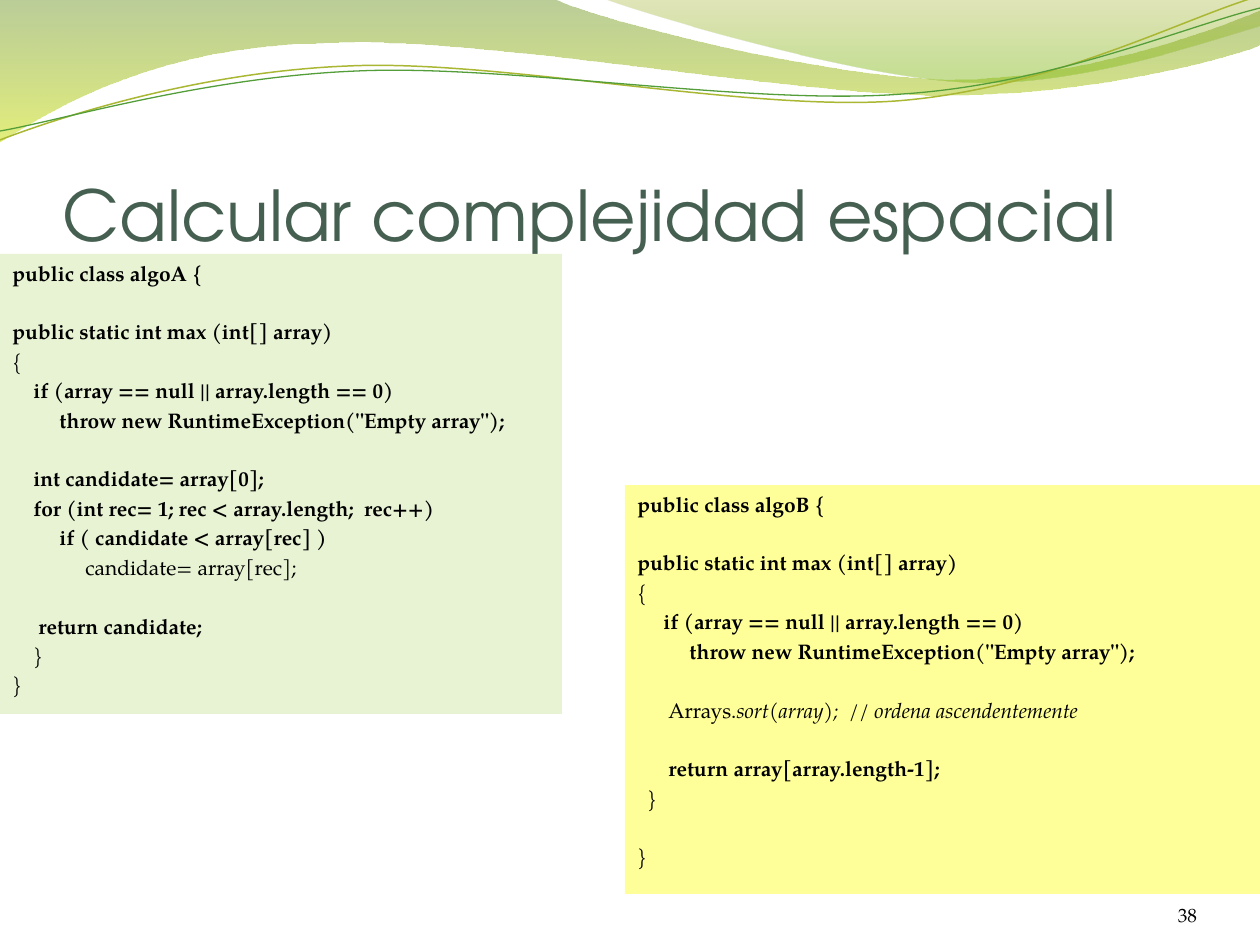
import math

from lxml import etree
from pptx import Presentation
from pptx import util as u
from pptx.dml.color import RGBColor
from pptx.enum import shapes, text
from pptx.oxml import ns

PX = 914400 / 126
BODY = "TeX Gyre Pagella"
HEAD = "TeX Gyre Adventor"
LINE_PT, BEFORE_PT = 14.4, 2.4
TILT = -2.7

# Each code line: (indent in px, blank lines above, [(words, bold, italic), ...])
CODE_A = [
    (0, 0, [("public class algoA {", True, False)]),
    (0, 1, [("public static int max (int[] array)", True, False)]),
    (0, 0, [("{", False, False)]),
    (21, 0, [("if (array == null || array.length == 0)", True, False)]),
    (47, 0, [('throw new RuntimeException("Empty array");', True, False)]),
    (21, 1, [("int candidate= array[0];", True, False)]),
    (21, 0, [("for (int rec= 1; rec < array.length;  rec++)", True, False)]),
    (47, 0, [("if ( candidate < array[rec] )", True, False)]),
    (73, 0, [("candidate= array[rec];", False, False)]),
    (26, 1, [("return candidate;", True, False)]),
    (21, 0, [("}", False, False)]),
    (0, 0, [("}", False, False)]),
]
CODE_B = [
    (0, 0, [("public class algoB {", True, False)]),
    (0, 1, [("public static int max (int[] array)", True, False)]),
    (0, 0, [("{", False, False)]),
    (26, 0, [("if (array == null || array.length == 0)", True, False)]),
    (52, 0, [('throw new RuntimeException("Empty array");', True, False)]),
    (31, 1, [("Arrays.", False, False),
             ("sort(array);  // ordena ascendentemente", False, True)]),
    (31, 1, [("return array[array.length-1];", True, False)]),
    (10, 0, [("}", False, False)]),
    (0, 1, [("}", False, False)]),
]

# Outlines: a start point, then lines (one point) and Bézier curves (three points)
LEFT_WAVE = [
    [(0, 0)], [(554, -1)],
    [(599, 21), (835, 79), (955, 79)], [(1075, 79), (1207, 33), (1260, 11)],
    [(1261, 45)],
    [(1239, 55), (1095, 96), (940, 95)], [(784, 95), (480, 35), (324, 43)],
    [(163, 45), (58, 105), (-1, 142)], [(0, 0)],
]
RIGHT_WAVE = [
    [(604, -1)],
    [(642, 14), (859, 78), (968, 82)], [(1077, 87), (1211, 40), (1260, 26)],
    [(1260, 0)],
]
OLIVE_LINE = [
    [(0, 140)],
    [(60, 117), (198, 72), (348, 66)], [(498, 59), (746, 112), (897, 101)],
    [(1050, 89), (1182, 19), (1256, -3)],
]
GREEN_LINE = [
    [(0, 131)],
    [(59, 121), (205, 77), (357, 71)], [(507, 64), (752, 106), (903, 94)],
    [(1053, 84), (1186, 26), (1260, 8)],
]


def emu(px):
    return u.Emu(round(px * PX))


def color(value):
    return RGBColor.from_string(value)


def add_span(para, words, font=BODY, size=12, fill="000000", bold=False, italic=False):
    span = para.add_run()
    span.text = words
    span.font.name = font
    span.font.size = u.Pt(size)
    span.font.color.rgb = color(fill)
    span.font.bold = bold
    span.font.italic = italic


def add_label(page, box, words, align=text.PP_ALIGN.LEFT, top_inset=0, **style):
    """Place one line of text on the bottom edge of the box."""
    frame = page.shapes.add_textbox(*map(emu, box)).text_frame
    frame.word_wrap = True
    frame.vertical_anchor = text.MSO_ANCHOR.BOTTOM
    frame.margin_left = frame.margin_right = frame.margin_bottom = 0
    frame.margin_top = emu(top_inset)
    para = frame.paragraphs[0]
    para.alignment = align
    add_span(para, words, **style)


def add_code_panel(page, box, fill, lines):
    panel = page.shapes.add_shape(shapes.MSO_SHAPE.RECTANGLE, *map(emu, box))
    panel.shadow.inherit = False
    panel.fill.solid()
    panel.fill.fore_color.rgb = color(fill)
    panel.line.fill.background()
    frame = panel.text_frame
    frame.word_wrap = True
    frame.vertical_anchor = text.MSO_ANCHOR.TOP
    for number, (indent, blanks, spans) in enumerate(lines):
        para = frame.add_paragraph() if number else frame.paragraphs[0]
        para.alignment = text.PP_ALIGN.LEFT
        para.line_spacing = u.Pt(LINE_PT)
        gap = BEFORE_PT + blanks * (LINE_PT + BEFORE_PT)
        para.space_before = u.Pt(gap if number else 0)
        para._p.get_or_add_pPr().set("marL", str(emu(indent)))
        for words, bold, italic in spans:
            add_span(para, words, bold=bold, italic=italic)


def turn(point, center, degrees):
    angle = math.radians(degrees)
    x, y = point[0] - center[0], point[1] - center[1]
    return (center[0] + x * math.cos(angle) - y * math.sin(angle),
            center[1] + x * math.sin(angle) + y * math.cos(angle))


def add_outline(page, outline, close):
    points = [(emu(x), emu(y)) for step in outline for x, y in step]
    builder = page.shapes.build_freeform(*points[0])
    builder.add_line_segments(points[1:], close=close)
    shape = builder.convert_to_shape()
    shape.shadow.inherit = False
    segments = iter(list(shape._element.spPr.iter(ns.qn("a:lnTo"))))
    for step in outline[1:]:
        parts = [next(segments) for _ in step]
        if len(parts) == 3:
            curve = etree.Element(ns.qn("a:cubicBezTo"))
            parts[0].addprevious(curve)
            for part in parts:
                curve.append(part[0])
                part.getparent().remove(part)
    return shape


def add_wave(page, outline, stops):
    """Fill an outline from top to bottom; a stop is (position, colour, opacity %)."""
    wave = add_outline(page, outline, True)
    wave.fill.gradient()
    wave.fill.gradient_angle = 270
    for stop, (position, value, _) in zip(wave.fill.gradient_stops, stops):
        stop.position = position
        stop.color.rgb = color(value)
    tints = wave._element.spPr.iter(ns.qn("a:srgbClr"))
    for tint, (_, _, opacity) in zip(tints, stops):
        etree.SubElement(tint, ns.qn("a:alpha")).set("val", str(opacity * 1000))
    wave.line.fill.background()


def add_wave_line(page, outline, center, value, width):
    """Draw the curve level about its centre, then tilt the shape."""
    level = [[turn(point, center, -TILT) for point in step] for step in outline]
    curve = add_outline(page, level, False)
    curve.rotation = TILT
    curve.fill.background()
    curve.line.color.rgb = color(value)
    curve.line.width = u.Pt(width)


def add_header(page):
    add_wave(page, LEFT_WAVE, [(0, "69921C", 45), (1, "CCE10F", 55)])
    add_wave(page, RIGHT_WAVE, [(0, "9BAA1A", 30), (0.8, "81BA16", 45)])
    add_wave_line(page, OLIVE_LINE, (629, 72), "A9B733", 0.85)
    add_wave_line(page, GREEN_LINE, (629, 74), "549E39", 0.75)


def main():
    deck = Presentation()
    deck.slide_width, deck.slide_height = emu(1260), emu(945)
    page = deck.slides.add_slide(deck.slide_layouts[6])
    add_header(page)
    add_label(page, (63, 98, 1134, 157), "Calcular complejidad espacial",
              top_inset=6, font=HEAD, size=40, fill="455F51")
    add_code_panel(page, (0, 254, 562, 460), "E8F3D4", CODE_A)
    add_label(page, (1092, 876, 105, 50), "38", align=text.PP_ALIGN.RIGHT, size=11)
    add_code_panel(page, (625, 485, 635, 409), "FFFF99", CODE_B)
    deck.save("out.pptx")


if __name__ == "__main__":
    main()
